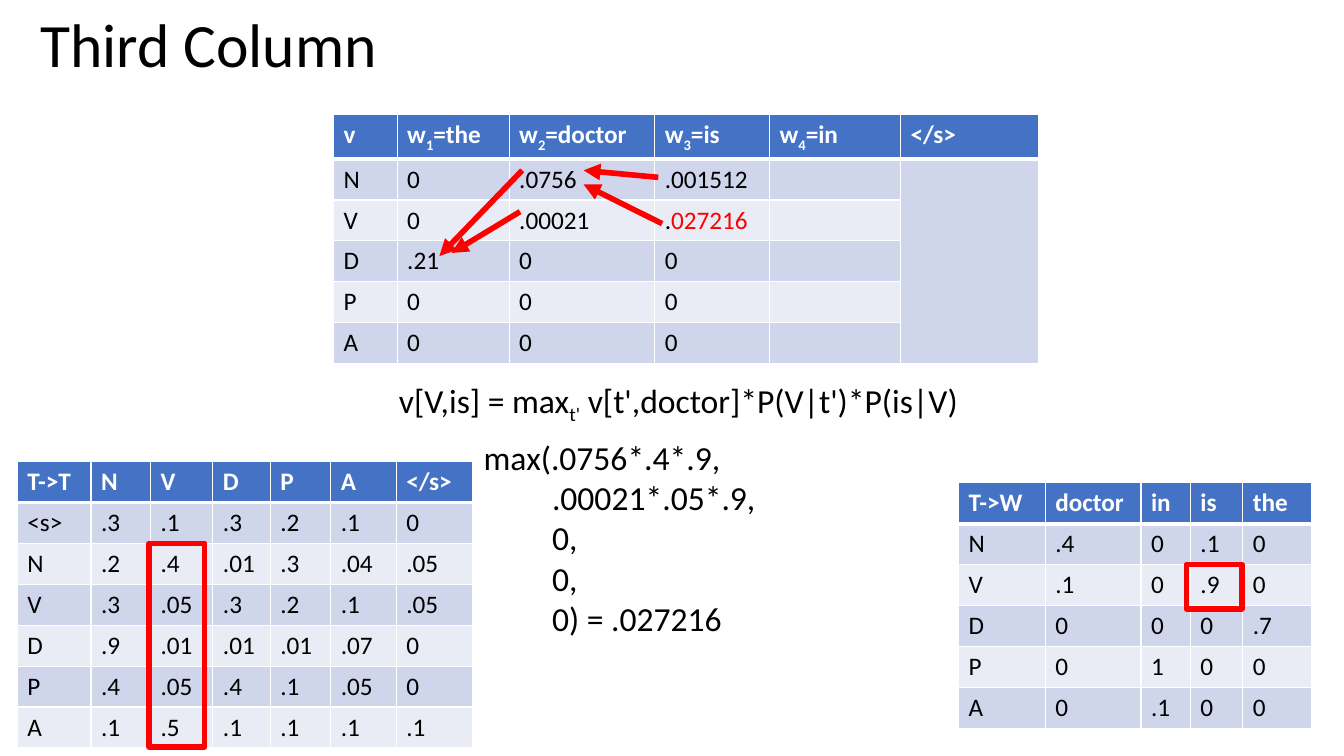
from lxml import etree
from pptx import Presentation
from pptx.dml import color
from pptx.enum import shapes, text
from pptx.oxml import ns
from pptx.util import Pt

RED, BLACK, WHITE = "FF0000", "000000", "FFFFFF"
HEADER, BANDS = "4472C4", ("CFD5EA", "E9EBF5")
ROW_HEIGHT = 29.2
INDENT = 48.8

TAG_TO_TAG = [
    ["T->T", "N", "V", "D", "P", "A", "</s>"],
    ["<s>", ".3", ".1", ".3", ".2", ".1", "0"],
    ["N", ".2", ".4", ".01", ".3", ".04", ".05"],
    ["V", ".3", ".05", ".3", ".2", ".1", ".05"],
    ["D", ".9", ".01", ".01", ".01", ".07", "0"],
    ["P", ".4", ".05", ".4", ".1", ".05", "0"],
    ["A", ".1", ".5", ".1", ".1", ".1", ".1"],
]
TAG_TO_WORD = [
    ["T->W", "doctor", "in", "is", "the"],
    ["N", ".4", "0", ".1", "0"],
    ["V", ".1", "0", ".9", "0"],
    ["D", "0", "0", "0", ".7"],
    ["P", "0", "1", "0", "0"],
    ["A", "0", ".1", "0", "0"],
]
WORDS = ["the", "doctor", "is", "in"]
VITERBI = [
    ["v"] + [[("w", {}), (str(i), {"sub": True}), ("=" + word, {})]
             for i, word in enumerate(WORDS, 1)] + ["</s>"],
    ["N", "0", ".0756", ".001512", "", ""],
    ["V", "0", ".00021", [(".", {}), ("027216", {"color": RED})], "", ""],
    ["D", ".21", "0", "0", "", ""],
    ["P", "0", "0", "0", "", ""],
    ["A", "0", "0", "0", "", ""],
]
RECURRENCE = [("v[V,is] = max", {}), ("t'", {"sub": True}),
              (" v[t',doctor]*P(V|t')*P(is|V)", {})]
ARROWS = [
    (470.2, 126.7, 416.9, 121.7),
    (473, 159.8, 416.9, 131.8),
    (371.5, 151.2, 322.6, 180.7),
    (373, 121.7, 313.9, 182.9),
]
HIGHLIGHTS = [(106.6, 388.1, 39.6, 145.4), (847.4, 403.2, 39.6, 31.7)]


def rgb(value):
    return color.RGBColor.from_string(value)


def add_runs(p, content, size, colour=BLACK, bold=False):
    runs = [(content, {})] if isinstance(content, str) else content
    for words, style in runs:
        if words == "\n":
            p.add_line_break()
            continue
        r = p.add_run()
        r.text = words
        for name, value in {"name": "Calibri", "size": Pt(size), "bold": bold}.items():
            setattr(r.font, name, value)
        r.font.color.rgb = rgb(style.get("color", colour))
        if style.get("sub"):
            r.font._element.set("baseline", "-25000")


def add_text(s, box, paragraphs, size, margin=0, first_indent=0, **frame):
    sp = s.shapes.add_textbox(*map(Pt, box))
    tf = sp.text_frame
    for name, value in {"word_wrap": True, **frame}.items():
        setattr(tf, name, value)
    for i, content in enumerate(paragraphs):
        p = tf.paragraphs[0] if i == 0 else tf.add_paragraph()
        if margin:
            pPr = p._p.get_or_add_pPr()
            pPr.set("marL", str(Pt(margin)))
            pPr.set("indent", str(Pt(first_indent if i == 0 else 0)))
        add_runs(p, content, size)
    return tf


def set_borders(cell, row):
    tcPr = cell._tc.get_or_add_tcPr()
    thick = {0: "lnB", 1: "lnT"}.get(row)
    for side in ("lnL", "lnR", "lnT", "lnB"):
        ln = etree.SubElement(tcPr, ns.qn("a:" + side), w=str(Pt(3 if side == thick else 1)))
        fill = etree.SubElement(ln, ns.qn("a:solidFill"))
        etree.SubElement(fill, ns.qn("a:srgbClr"), val=WHITE)


def add_grid(s, left, top, widths, rows):
    frame = s.shapes.add_table(len(rows), len(widths), Pt(left), Pt(top),
                               Pt(sum(widths)), Pt(ROW_HEIGHT * len(rows)))
    table = frame.table
    for column, width in zip(table.columns, widths):
        column.width = Pt(width)
    for i, row in enumerate(rows):
        table.rows[i].height = Pt(ROW_HEIGHT)
        header = i == 0
        for j, content in enumerate(row):
            cell = table.cell(i, j)
            set_borders(cell, i)
            cell.fill.solid()
            cell.fill.fore_color.rgb = rgb(HEADER if header else BANDS[(i - 1) % 2])
            if content:
                add_runs(cell.text_frame.paragraphs[0], content, 18,
                         WHITE if header else BLACK, header)
    return table


def set_line(sp):
    sp.line.color.rgb = rgb(RED)
    sp.line.width = Pt(4)


def add_arrow(s, *ends):
    sp = s.shapes.add_connector(shapes.MSO_CONNECTOR.STRAIGHT, *map(Pt, ends))
    set_line(sp)
    etree.SubElement(sp.line._get_or_add_ln(), ns.qn("a:tailEnd"), type="triangle")
    etree.SubElement(sp._element.spPr, ns.qn("a:effectLst"))


def add_highlight(s, *box):
    sp = s.shapes.add_shape(shapes.MSO_SHAPE.RECTANGLE, *map(Pt, box))
    sp.shadow.inherit = False
    sp.fill.background()
    set_line(sp)


def main():
    prs = Presentation()
    prs.slide_width, prs.slide_height = Pt(960), Pt(540)
    s = prs.slides.add_slide(prs.slide_layouts[6])

    add_grid(s, 12.4, 329.8, [52.6, 42.5, 44.6, 41, 43.2, 46.8, 54.7], TAG_TO_TAG)
    viterbi = add_grid(s, 238.3, 82, [45.4, 80, 104, 82, 93.6, 98.6], VITERBI)
    viterbi.cell(1, 5).merge(viterbi.cell(5, 5))
    add_grid(s, 684.7, 344.9, [61.9, 68.4, 35.3, 37.4, 49], TAG_TO_WORD)

    for arrow in ARROWS:
        add_arrow(s, *arrow)

    title = add_text(s, (21.6, -18, 828, 104.4), ["Third Column"], 44,
                     vertical_anchor=text.MSO_ANCHOR.MIDDLE)
    title.paragraphs[0].line_spacing = 0.9
    add_text(s, (277.9, 267.8, 420.5, 36), [RECURRENCE], 24)
    first_terms = [("max(.0756*.4*.9,", {}), ("\n", {}), (".00021*.05*.9,", {})]
    add_text(s, (338.4, 308.2, 209.5, 152.6),
             [first_terms, "0,", "0,", "0) = .027216"], 24,
             margin=INDENT, first_indent=-INDENT)

    for box in HIGHLIGHTS:
        add_highlight(s, *box)
    prs.save("out.pptx")


if __name__ == "__main__":
    main()
